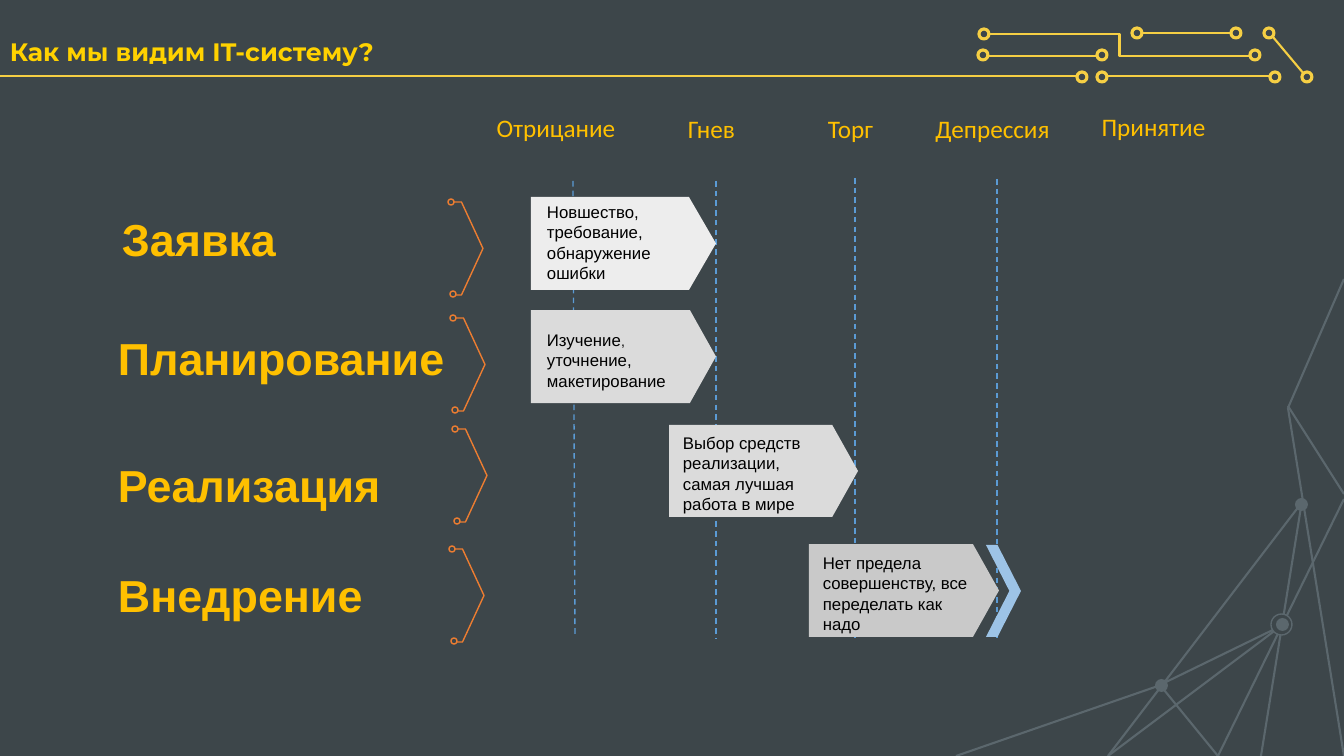
import lxml.etree
import pptx
import pptx.dml.color
import pptx.enum.dml
import pptx.enum.shapes
import pptx.enum.text
import pptx.oxml.ns
import pptx.util

PX = 914400 / 100.8
COLORS = {
    "background": "3D464A", "network": "5B676D", "circuit": "F6CF44",
    "guide": "5B9BD5", "chevron": "9DC3E6", "bracket": "ED7D31",
    "heading": "FFC000", "title": "FFD200", "body": "000000",
    "request": "EDEDED", "work": "DBDBDB", "rollout": "C9C9C9",
}
KIND = pptx.enum.shapes.MSO_SHAPE
LINK = pptx.enum.shapes.MSO_CONNECTOR
ALIGN = pptx.enum.text.PP_ALIGN
ANCHOR = pptx.enum.text.MSO_ANCHOR

NETWORK_LINES = [
    (1344, 499, 1218, 756), (1288, 408, 1344, 756), (1281, 626, 1108, 756),
    (1344, 279, 1288, 408), (1303, 501, 1108, 756), (1302, 501, 1261, 756),
    (1288, 406, 1344, 494), (1161, 685, 956, 756), (1160, 685, 1218, 756),
    (1162, 684, 1281, 626),
]
NETWORK_NODES = [(1276, 618), (1155, 679), (1295, 498)]
CIRCUIT_LINES = [
    (0, 76, 1077, 76), (1142, 33, 1231, 33), (1108, 76, 1270, 76),
    (1273, 37, 1304, 74), (988, 56, 1097, 56),
]
CIRCUIT_RINGS = [
    (1077, 72), (979, 29), (1264, 28), (1132, 28), (1231, 28), (1097, 72),
    (1270, 72), (1302, 72), (1250, 50), (978, 50), (1097, 50),
]
GUIDES = [(855, 178, 855, 638), (997, 179, 997, 638),
          (573, 181, 575, 637), (716, 181, 716, 638)]
STAGES = [
    ((531, 197, 185, 93), 0.29, "request", (537, 197, 153, 92),
     [("Новшество, требование, обнаружение ошибки", 12)]),
    ((531, 310, 185, 93), 0.28, "work", (537, 325, 156, 72),
     [("Изучение", 12), (", ", 10), ("уточнение, макетирование", 12)]),
    ((669, 425, 189, 92), 0.28, "work", (673, 428, 168, 92),
     [("Выбор средств реализации, самая лучшая работа в мире", 12)]),
    ((809, 544, 190, 93), 0.28, "rollout", (813, 548, 167, 92),
     [("Нет предела совершенству, все переделать как надо", 12)]),
]
BRACKETS = [(440, 202), (442, 318), (444, 429), (441, 549)]
PHASES = [("Заявка", (112, 207, 196, 65)), ("Планирование", (108, 326, 355, 65)),
          ("Реализация", (108, 453, 309, 65)), ("Внедрение", (108, 563, 296, 65))]
MOODS = [("Отрицание", (484, 113, 144, 29)), ("Гнев", (646, 114, 131, 29)),
         ("Торг", (785, 114, 131, 29)), ("Депрессия", (913, 113, 159, 30)),
         ("Принятие", (1088, 112, 131, 29))]


def emu(*lengths):
    """Turn px lengths into EMU."""
    return [round(length * PX) for length in lengths]


def rgb(color):
    """Look up a named colour."""
    return pptx.dml.color.RGBColor.from_string(COLORS[color])


def add_figure(shapes, kind, box, fill=None, line=None, width=1, adjust=None):
    """Add a preset shape."""
    figure = shapes.add_shape(kind, *emu(*box))
    figure.shadow.inherit = False
    if fill:
        figure.fill.solid()
        figure.fill.fore_color.rgb = rgb(fill)
    else:
        figure.fill.background()
    if line:
        figure.line.color.rgb = rgb(line)
        figure.line.width = pptx.util.Pt(width)
    else:
        figure.line.fill.background()
    if adjust is not None:
        figure.adjustments[0] = adjust


def add_line(shapes, ends, color, width=1.5, dashed=False, kind=LINK.STRAIGHT):
    """Add a connector between two points."""
    connector = shapes.add_connector(kind, *emu(*ends))
    connector.line.color.rgb = rgb(color)
    connector.line.width = pptx.util.Pt(width)
    if dashed:
        connector.line.dash_style = pptx.enum.dml.MSO_LINE.DASH
    lxml.etree.SubElement(connector._element.spPr, pptx.oxml.ns.qn("a:effectLst"))


def add_text(shapes, runs, box, font="Arial", color="body", bold=False,
             align=ALIGN.LEFT, anchor=ANCHOR.TOP, spacing=None):
    """Add a text box from (text, size) runs."""
    frame = shapes.add_textbox(*emu(*box)).text_frame
    frame.word_wrap = True
    frame.vertical_anchor = anchor
    paragraph = frame.paragraphs[0]
    paragraph.alignment = align
    if spacing:
        paragraph.line_spacing = spacing
    for words, size in runs:
        run = paragraph.add_run()
        run.text = words
        run.font.name = font
        run.font.size = pptx.util.Pt(size)
        run.font.bold = bold
        run.font.color.rgb = rgb(color)


def add_network(shapes):
    """Draw the corner network."""
    for ends in NETWORK_LINES:
        add_line(shapes, ends, "network")
    add_figure(shapes, KIND.OVAL, (1271, 614, 21, 21), "background", "network")
    for left, top in NETWORK_NODES:
        add_figure(shapes, KIND.OVAL, (left, top, 13, 13), "network")


def add_circuit(shapes):
    """Draw the circuit along the title."""
    for ends in CIRCUIT_LINES:
        add_line(shapes, ends, "circuit")
    add_line(shapes, (989, 34, 1250, 56), "circuit", kind=LINK.ELBOW)
    for left, top in CIRCUIT_RINGS:
        add_figure(shapes, KIND.OVAL, (left, top, 10, 10), line="circuit", width=2.25)


def add_bracket(shapes, left, top):
    """Draw a pointed bracket with ringed ends."""
    add_figure(shapes, KIND.PENTAGON, (left, top, 43, 93), "background", "bracket")
    add_figure(shapes, KIND.RECTANGLE, (left - 12, top - 3, 25, 98), "background")
    for right, down in [(10, 89), (8, -3)]:
        add_figure(shapes, KIND.OVAL, (left + right, top + down, 6, 6),
                   "background", "bracket")


def main():
    """Build and save the slide."""
    deck = pptx.Presentation()
    deck.slide_width, deck.slide_height = emu(1344, 756)
    slide = deck.slides.add_slide(deck.slide_layouts[6])
    slide.background.fill.solid()
    slide.background.fill.fore_color.rgb = rgb("background")
    shapes = slide.shapes
    add_network(shapes.add_group_shape().shapes)
    add_circuit(shapes.add_group_shape().shapes)
    for ends in GUIDES:
        add_line(shapes, ends, "guide", width=1, dashed=True)
    add_figure(shapes, KIND.CHEVRON, (986, 545, 35, 92), "chevron", adjust=0.67)
    for arrow, point, fill, label, runs in STAGES:
        add_figure(shapes, KIND.PENTAGON, arrow, fill, adjust=point)
        add_text(shapes, runs, label)
    for left, top in BRACKETS:
        add_bracket(shapes.add_group_shape().shapes, left, top)
    for phase, box in PHASES:
        add_text(shapes, [(phase, 32)], box, color="heading", bold=True)
    for mood, box in MOODS:
        add_text(shapes, [(mood, 18)], box, font="Calibri", color="heading",
                 align=ALIGN.CENTER, anchor=ANCHOR.MIDDLE)
    add_text(shapes, [("Как мы видим IT-систему?", 18)], (0, 35, 943, 36),
             font="Montserrat", color="title", bold=True,
             anchor=ANCHOR.MIDDLE, spacing=0.9)
    deck.save("out.pptx")


if __name__ == "__main__":
    main()
